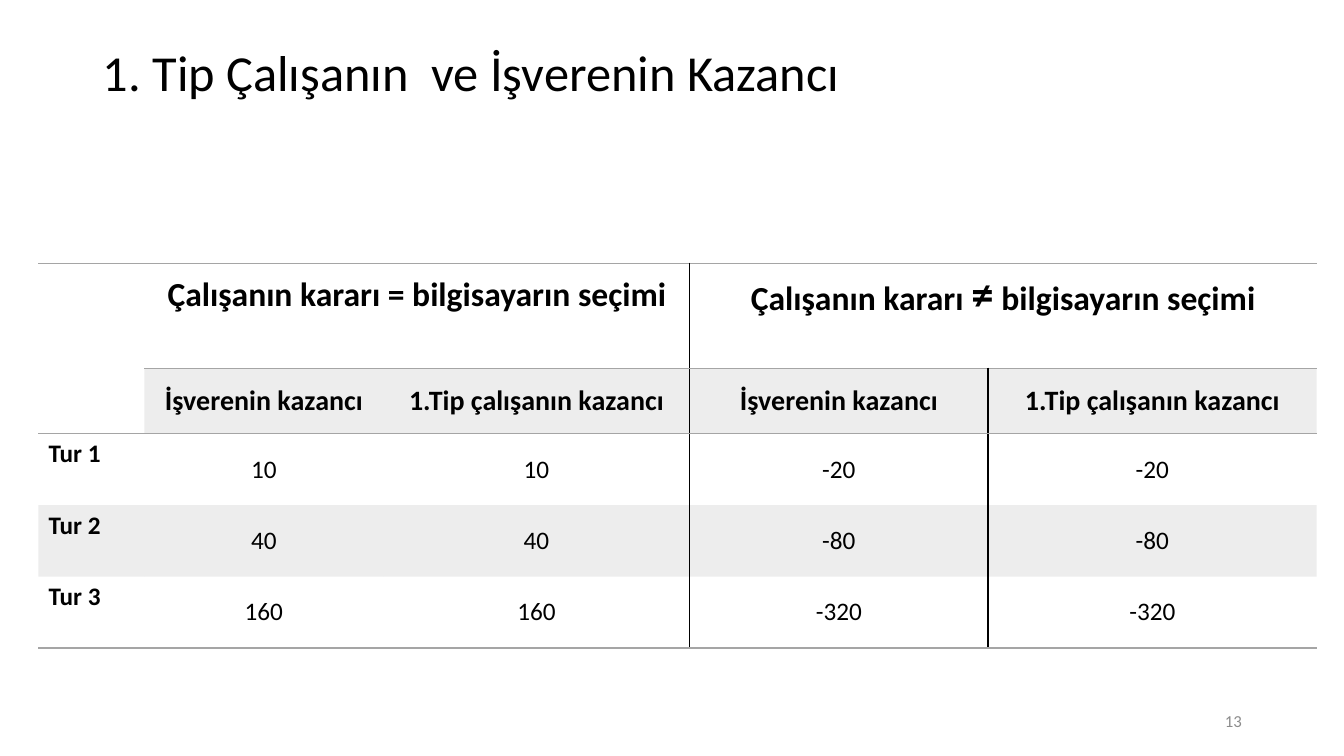
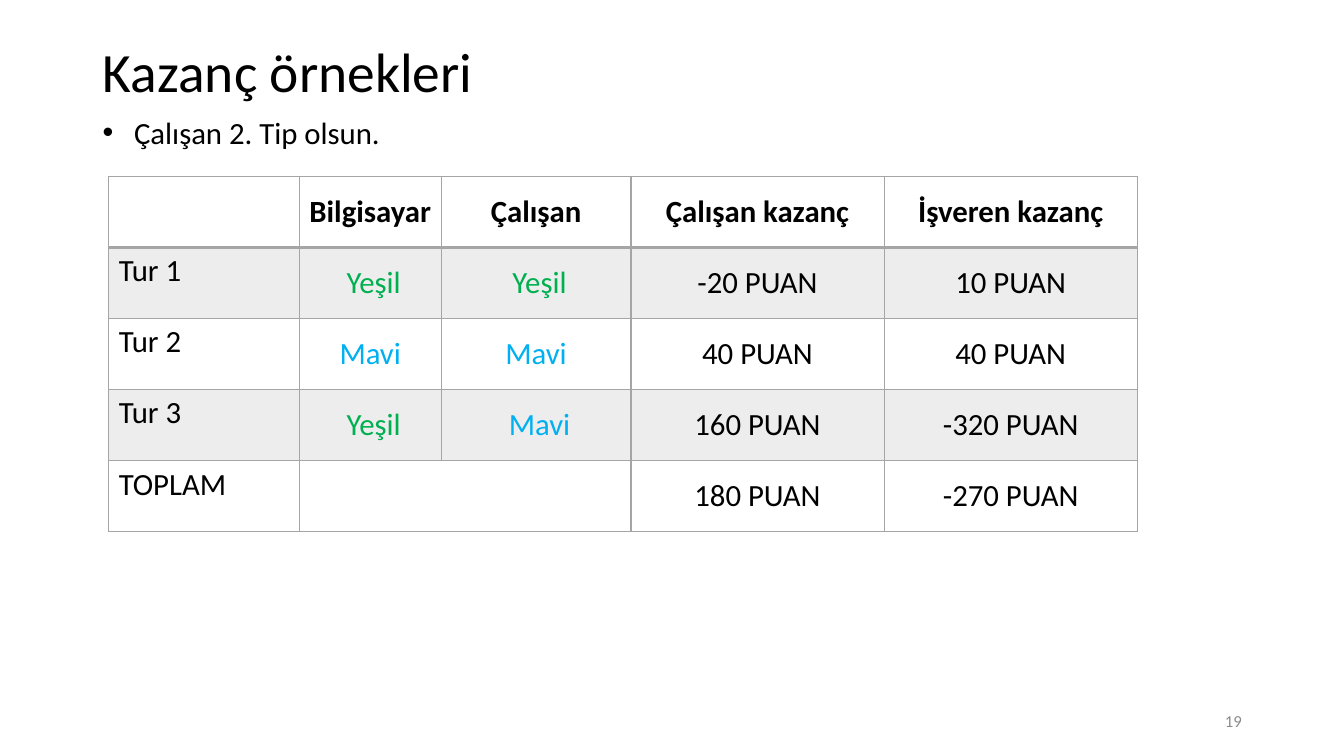
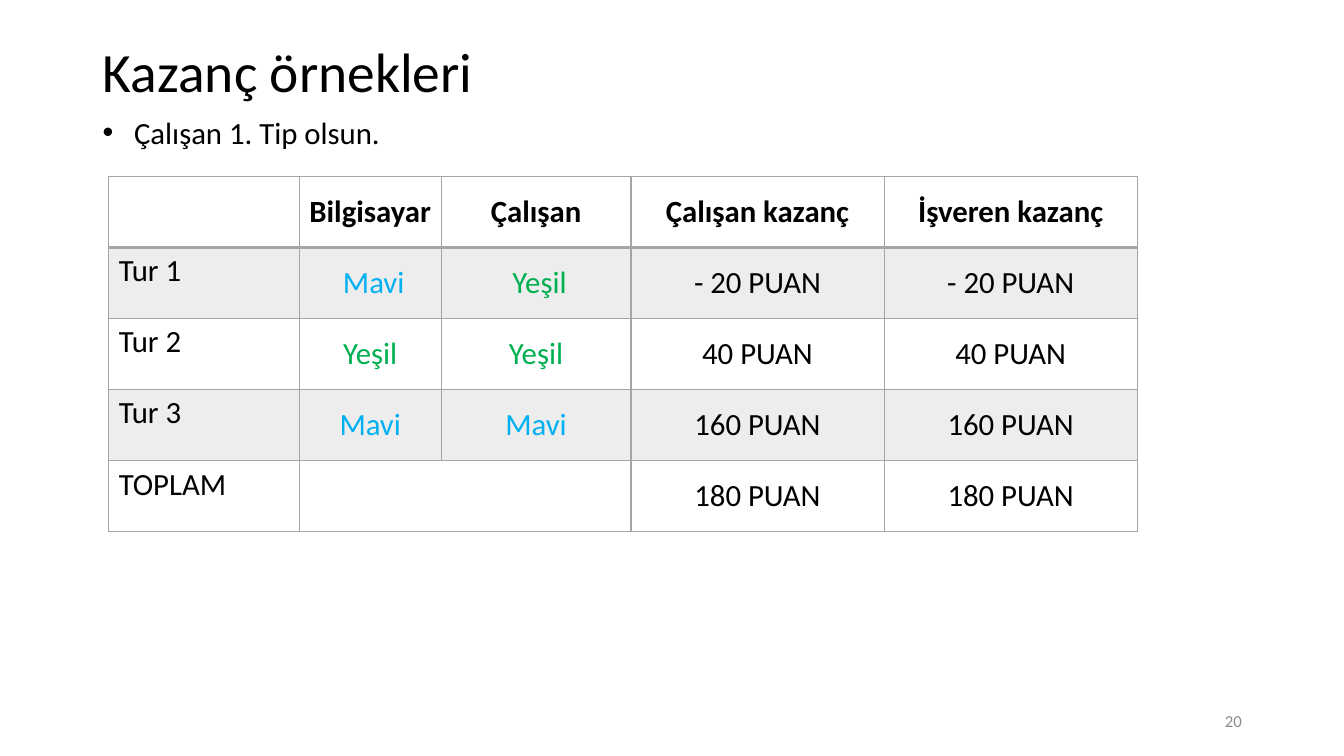
from dataclasses import dataclass
from typing import Callable

from lxml import etree
from pptx import Presentation
from pptx import util as u
from pptx.dml.color import RGBColor
from pptx.enum import text
from pptx.oxml.ns import qn

FONT = "Calibri"
COLORS = {"ink": "000000", "gray": "A5A5A5", "page": "8C8C8C",
          "green": "00B050", "blue": "00B0F0"}
WORD_COLORS = {"Yeşil": "green", "Mavi": "blue"}
NO_GRID_STYLE = "{2D5ABB26-0587-4C30-8999-92F81FD0307C}"
EDGE_TAGS = {"left": "a:lnL", "right": "a:lnR", "top": "a:lnT", "bottom": "a:lnB"}
BAND_ROWS = (1, 3)
BAND_OPACITY = 20

Edges = dict[str, tuple[str, float]]  # side -> colour name, width in points
Box = tuple[float, float, float, float]

TITLE_BOX: Box = (2.34, 1.02, 29.21, 1.73)
BULLET_BOX: Box = (2.34, 2.74, 29.21, 1.19)
PAGE_BOX: Box = (23.93, 17.65, 7.62, 1.02)


@dataclass
class Grid:
    """A table: place and sizes in cm, wording, and rules by row and column."""
    left: float
    top: float
    cols: list[float]
    rows: list[float]
    cells: list[list[str]]
    sizes: list[int]
    merges: list[tuple[int, int, int, int]]
    bold: Callable[[int, int], bool]
    edges: Callable[[int, int], Edges]


@dataclass
class Page:
    """One slide: title, page number, table and an optional bullet line."""
    title: str
    title_size: float
    number: int
    grid: Grid
    bullet: str = ""


def style_run(r, size: float, color: str = "ink", bold: bool = False) -> None:
    """Format one run."""
    r.font.name, r.font.size, r.font.bold = FONT, u.Pt(size), bold
    r.font.color.rgb = RGBColor.from_string(COLORS[color])


def place(sp, box: Box) -> None:
    """Move and size a shape, in cm."""
    sp.left, sp.top, sp.width, sp.height = map(u.Cm, box)


def add_text(s, box: Box, words: str, size: float, color: str = "ink"):
    """Add a wrapping one-paragraph text box and return its shape."""
    sp = s.shapes.add_textbox(*map(u.Cm, box))
    tf = sp.text_frame
    tf.word_wrap = True
    tf.text = words
    style_run(tf.paragraphs[0].runs[0], size, color)
    return sp


def set_title(s, words: str, size: float) -> None:
    """Fill and format the title placeholder."""
    sp = s.shapes.title
    place(sp, TITLE_BOX)
    tf = sp.text_frame
    tf.text = words
    tf.auto_size = text.MSO_AUTO_SIZE.NONE
    tf.vertical_anchor = text.MSO_ANCHOR.MIDDLE
    p = tf.paragraphs[0]
    p.alignment, p.line_spacing = text.PP_ALIGN.LEFT, 0.9
    style_run(p.runs[0], size)


def add_bullet(s, words: str) -> None:
    """Add the bulleted line under the title."""
    sp = add_text(s, BULLET_BOX, words, 22)
    pPr = sp.text_frame.paragraphs[0]._p.get_or_add_pPr()
    indent = u.Cm(0.79)
    pPr.set("marL", str(indent))
    pPr.set("indent", str(-indent))
    etree.SubElement(pPr, qn("a:buFont"), typeface="Arial")
    etree.SubElement(pPr, qn("a:buChar"), char="•")


def add_number(s, number: int) -> None:
    """Add the page number at the bottom right."""
    tf = add_text(s, PAGE_BOX, str(number), 12, "page").text_frame
    tf.vertical_anchor = text.MSO_ANCHOR.MIDDLE
    tf.paragraphs[0].alignment = text.PP_ALIGN.RIGHT


def set_edges(cell, edges: Edges) -> None:
    """Draw the given cell borders; call before the cell is filled."""
    tcPr = cell._tc.get_or_add_tcPr()
    for side, tag in EDGE_TAGS.items():
        if side in edges:
            color, width = edges[side]
            ln = etree.SubElement(tcPr, qn(tag), w=str(u.Pt(width)))
            fill = etree.SubElement(ln, qn("a:solidFill"))
            etree.SubElement(fill, qn("a:srgbClr"), val=COLORS[color])


def set_fill(cell, shaded: bool) -> None:
    """Give a cell the translucent band colour, or no fill."""
    if not shaded:
        cell.fill.background()
        return
    cell.fill.solid()
    cell.fill.fore_color.rgb = RGBColor.from_string(COLORS["gray"])
    clr = cell._tc.tcPr.find(".//" + qn("a:solidFill") + "[last()]")
    clr = cell._tc.tcPr.findall(qn("a:solidFill"))[-1][0]
    etree.SubElement(clr, qn("a:alpha"), val=str(BAND_OPACITY * 1000))


def set_words(cell, words: str, size: int, bold: bool, centered: bool) -> None:
    """Write a cell, with a larger unequal sign and coloured colour names."""
    p = cell.text_frame.paragraphs[0]
    if centered:
        cell.vertical_anchor = text.MSO_ANCHOR.MIDDLE
        p.alignment = text.PP_ALIGN.CENTER
    color = WORD_COLORS.get(words.strip(), "ink")
    for part in filter(None, words.partition("≠")):
        r = p.add_run()
        r.text = part
        style_run(r, 32 if part == "≠" else size, color, bold)


def add_grid(s, grid: Grid):
    """Add a table and return it."""
    box = (grid.left, grid.top, sum(grid.cols), sum(grid.rows))
    table = s.shapes.add_table(len(grid.rows), len(grid.cols), *map(u.Cm, box)).table
    table.first_row = table.horz_banding = False
    table._tbl.tblPr.find(qn("a:tableStyleId")).text = NO_GRID_STYLE
    for column, width in zip(table.columns, grid.cols):
        column.width = u.Cm(width)
    for row, height in zip(table.rows, grid.rows):
        row.height = u.Cm(height)
    for top, left, bottom, right in grid.merges:
        table.cell(top, left).merge(table.cell(bottom, right))
    for i, line in enumerate(grid.cells):
        for j, words in enumerate(line):
            cell = table.cell(i, j)
            set_edges(cell, grid.edges(i, j))
            set_fill(cell, i in BAND_ROWS and not cell.is_spanned)
            set_words(cell, words, grid.sizes[i], grid.bold(i, j), j > 0)
    return table


def payoff_edges(i: int, j: int) -> Edges:
    """Gray rules around the heads and the foot, black rules between columns."""
    gray, black = ("gray", 1), ("ink", 1)
    edges: Edges = {}
    if i == 0:
        edges["top"] = gray
    if i in (0, 4) or (i, j) == (1, 0):
        edges["bottom"] = gray
    if i == 1 and j > 0:
        edges["top"] = gray
    if j == 2 or (i, j) == (0, 1) or (j == 3 and i > 0):
        edges["right"] = black
    if j == 3 or (j == 4 and i > 0):
        edges["left"] = black
    return edges


def example_edges(i: int, j: int) -> Edges:
    """Gray rules on all sides, heavier under the head row."""
    edges: Edges = {side: ("gray", 1) for side in EDGE_TAGS}
    if i < 2:
        edges["bottom" if i == 0 else "top"] = ("gray", 2)
    return edges


def payoff_grid() -> Grid:
    """Gains of both sides in each round."""
    heads = ["İşverenin kazancı", "1.Tip çalışanın kazancı"]
    gains = [(10, -20), (40, -80), (160, -320)]
    cells = [["", "Çalışanın kararı = bilgisayarın seçimi", "",
              "Çalışanın kararı ≠ bilgisayarın seçimi", ""], ["", *heads * 2]]
    cells += [[f"Tur {n}", *[str(same)] * 2, *[str(other)] * 2]
              for n, (same, other) in enumerate(gains, 1)]
    return Grid(0.97, 6.63, [2.67, 6.02, 7.72, 7.52, 8.28],
                [2.64, 1.65] + [1.8] * 3, cells, [24, 20, 18, 18, 18],
                [(0, 0, 1, 0), (0, 1, 0, 2), (0, 3, 0, 4)],
                lambda i, j: i < 2 or j == 0, payoff_edges)


def example_grid(rounds: list[list[str]], totals: list[str]) -> Grid:
    """A worked example: choices and points for three rounds and in total."""
    def points(values: list[str]) -> list[str]:
        return [f"{value} PUAN" for value in values]

    cells = [["", "Bilgisayar", "Çalışan", "Çalışan kazanç", "İşveren kazanç"]]
    cells += [[f"Tur {n}", *line[:2], *points(line[2:])]
              for n, line in enumerate(rounds, 1)]
    cells.append(["TOPLAM", "", "", *points(totals)])
    return Grid(2.74, 4.45, [4.8, 3.58, 4.78, 6.38, 6.38], [1.79] * 5, cells,
                [22] * 5, [(4, 1, 4, 2)], lambda i, j: i == 0, example_edges)


def add_page(prs, page: Page) -> None:
    """Build one slide."""
    s = prs.slides.add_slide(prs.slide_layouts.get_by_name("Title Only"))
    table = add_grid(s, page.grid)
    if not page.bullet:
        for j in (1, 3):  # lifts the two wide heads above the middle
            table.cell(0, j).margin_bottom = u.Cm(1.14)
    set_title(s, page.title, page.title_size)
    if page.bullet:
        add_bullet(s, page.bullet)
    add_number(s, page.number)


TYPE_2 = example_grid([[" Yeşil", " Yeşil", "-20", "10"],
                       ["Mavi", "Mavi", "40", "40"],
                       [" Yeşil", " Mavi", "160", "-320"]], ["180", "-270"])
TYPE_1 = example_grid([[" Mavi", " Yeşil", "- 20", "- 20"],
                       ["Yeşil", "Yeşil", "40", "40"],
                       ["Mavi", "Mavi", "160", "160"]], ["180", "180"])
PAGES = [
    Page("1. Tip Çalışanın  ve İşverenin Kazancı ", 36, 13, payoff_grid()),
    Page("Kazanç örnekleri", 39.6, 19, TYPE_2, "Çalışan 2. Tip olsun."),
    Page("Kazanç örnekleri", 39.6, 20, TYPE_1, "Çalışan 1. Tip olsun."),
]

prs = Presentation()
prs.slide_width, prs.slide_height = u.Cm(33.87), u.Cm(19.05)
for page in PAGES:
    add_page(prs, page)
prs.save("out.pptx")
